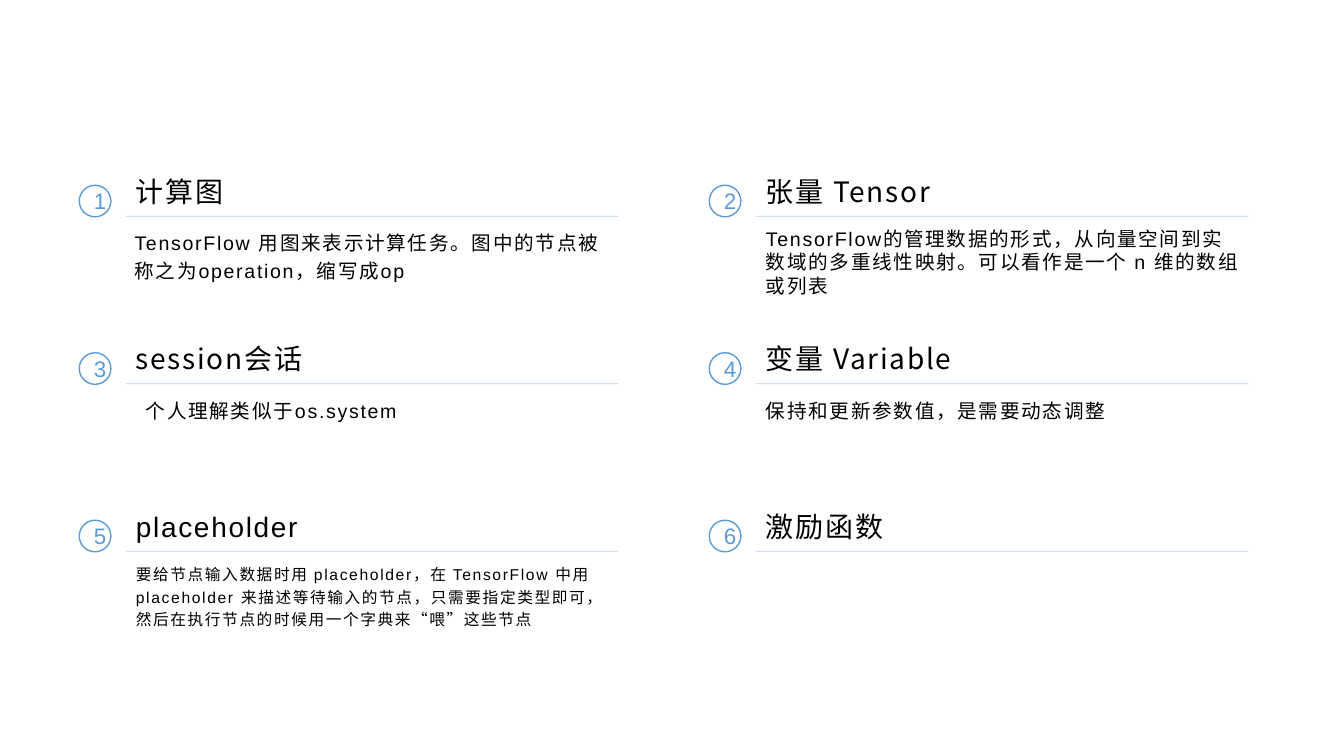
from dataclasses import dataclass

from lxml import etree
from pptx import Presentation
from pptx.dml.color import RGBColor
from pptx.enum.shapes import MSO_CONNECTOR, MSO_SHAPE
from pptx.enum.text import MSO_ANCHOR, PP_ALIGN
from pptx.oxml.ns import qn
from pptx.util import Pt

STRAIGHT = MSO_CONNECTOR.STRAIGHT
OVAL = MSO_SHAPE.OVAL
MIDDLE = MSO_ANCHOR.MIDDLE
CENTER = PP_ALIGN.CENTER


@dataclass(frozen=True)
class Theme:
    latin: str = "Arial"
    cjk: str = "Noto Sans CJK SC"
    accent: RGBColor = RGBColor(0x5B, 0x9B, 0xD5)
    ink: RGBColor = RGBColor(0, 0, 0)
    title_size: float = 20
    number_size: float = 16
    body_size: float = 14
    small_size: float = 11.2
    tracking: float = 1.2
    rule_opacity: int = 44


THEME = Theme()

# Content, in reading order: left column, right column, next row
CONCEPTS = [
    {"title": "计算图", "title_font": THEME.cjk,
     "body": "TensorFlow 用图来表示计算任务。图中的节点被称之为operation，缩写成op", "body_shift": -1},
    {"title": "张量 Tensor", "title_font": THEME.cjk,
     "body": "TensorFlow的管理数据的形式，从向量空间到实数域的多重线性映射。"
             "可以看作是一个 n 维的数组或列表", "line_spacing": 1.0},
    {"title": "session会话", "title_font": THEME.cjk,
     "body": "个人理解类似于os.system", "body_shift": 7},
    {"title": "变量 Variable", "title_font": THEME.cjk,
     "body": "保持和更新参数值，是需要动态调整"},
    {"title": "placeholder", "title_font": THEME.latin,
     "body": "要给节点输入数据时用 placeholder，在 TensorFlow 中用placeholder 来描述等待输入的节点，"
             "只需要指定类型即可，然后在执行节点的时候用一个字典来“喂”这些节点",
     "body_size": THEME.small_size},
    {"title": "激励函数", "title_font": THEME.cjk},
]

# Grid, in points
SLIDE_W, SLIDE_H = 960, 540
COLUMNS = 2
LEFT, TOP = 90, 118.5
COLUMN_STEP, ROW_STEP = 450, 119.65
TEXT_W, TITLE_H, BODY_H = 353, 34, 62
RULE_W, RULE_DROP, BODY_DROP = 351.7, 36, 39.7
BADGE_SIZE, BADGE_SHIFT, BADGE_DROP = 22.6, -33.4, 13.8


def add_run(paragraph, text, size, color, font, tracking=0):
    run = paragraph.add_run()
    run.text = text
    run.font.size = Pt(size)
    run.font.color.rgb = color
    run.font.name = font
    properties = run.font._element
    if tracking:
        properties.set("spc", str(round(tracking * 100)))
    if font == THEME.cjk:
        east_asian = etree.SubElement(properties, qn("a:ea"))
        east_asian.set("typeface", font)


def add_text(slide, x, y, height, text, size, font, line_spacing):
    box = slide.shapes.add_textbox(Pt(x), Pt(y), Pt(TEXT_W), Pt(height))
    box.text_frame.word_wrap = True
    paragraph = box.text_frame.paragraphs[0]
    paragraph.line_spacing = line_spacing
    add_run(paragraph, text, size, THEME.ink, font, THEME.tracking)


def add_rule(slide, x, y):
    rule = slide.shapes.add_connector(STRAIGHT, Pt(x), Pt(y), Pt(x + RULE_W), Pt(y))
    rule.line.width = Pt(0.5)
    rule.line.color.rgb = THEME.accent
    properties = rule._element.spPr
    color = properties.find(".//" + qn("a:srgbClr"))
    etree.SubElement(color, qn("a:alpha")).set("val", str(THEME.rule_opacity * 1000))
    etree.SubElement(properties, qn("a:effectLst"))


def add_badge(slide, x, y, number):
    badge = slide.shapes.add_shape(OVAL, Pt(x), Pt(y), Pt(BADGE_SIZE), Pt(BADGE_SIZE))
    badge.shadow.inherit = False
    badge.fill.background()
    badge.line.color.rgb = THEME.accent
    badge.line.width = Pt(1)
    badge.text_frame.vertical_anchor = MIDDLE
    paragraph = badge.text_frame.paragraphs[0]
    paragraph.alignment = CENTER
    add_run(paragraph, str(number), THEME.number_size, THEME.accent, THEME.latin)


def add_concept(slide, index, concept):
    row, column = divmod(index, COLUMNS)
    x = LEFT + column * COLUMN_STEP
    y = TOP + row * ROW_STEP
    add_rule(slide, x, y + RULE_DROP)
    add_text(slide, x, y, TITLE_H, concept["title"], THEME.title_size,
             concept["title_font"], 1.1)
    if "body" in concept:
        add_text(slide, x + concept.get("body_shift", 0), y + BODY_DROP, BODY_H,
                 concept["body"], concept.get("body_size", THEME.body_size),
                 THEME.latin, concept.get("line_spacing", 1.2))
    add_badge(slide, x + BADGE_SHIFT, y + BADGE_DROP, index + 1)


def main():
    deck = Presentation()
    deck.slide_width, deck.slide_height = Pt(SLIDE_W), Pt(SLIDE_H)
    slide = deck.slides.add_slide(deck.slide_layouts[6])
    for index, concept in enumerate(CONCEPTS):
        add_concept(slide, index, concept)
    deck.save("out.pptx")


if __name__ == "__main__":
    main()
